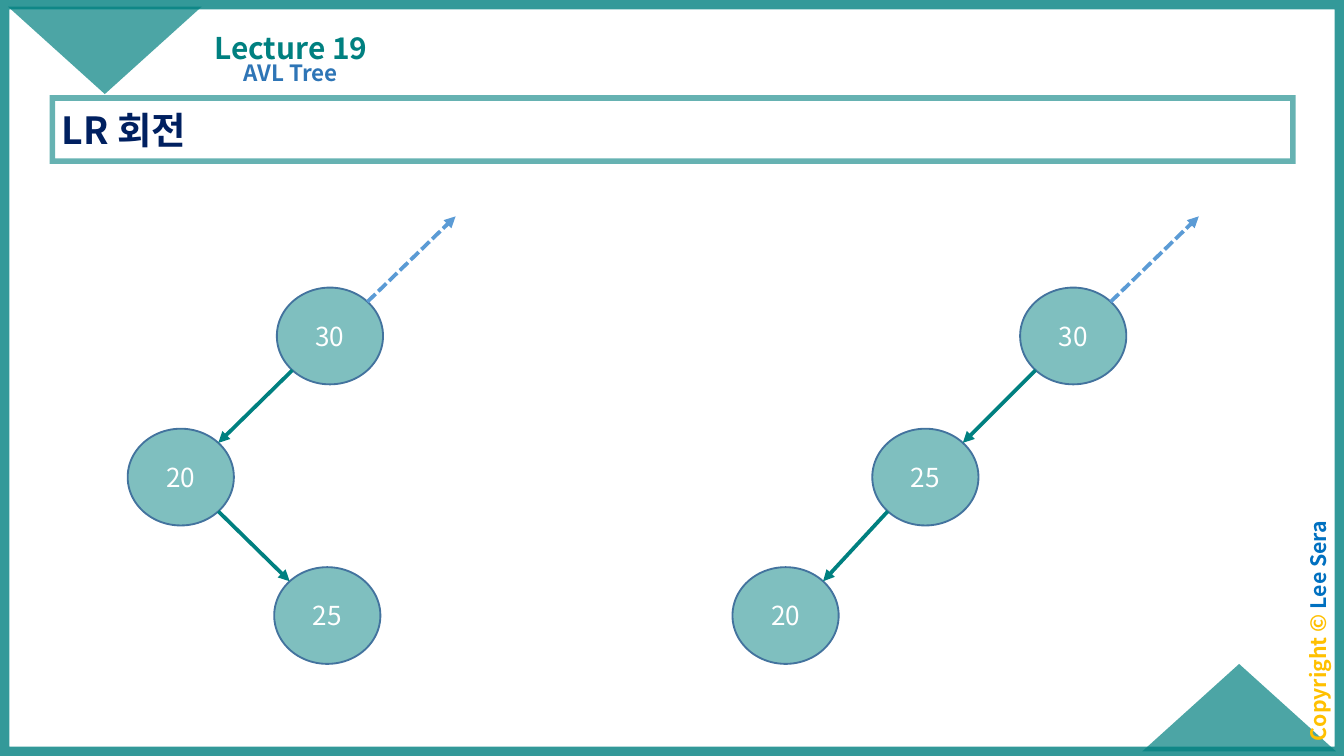
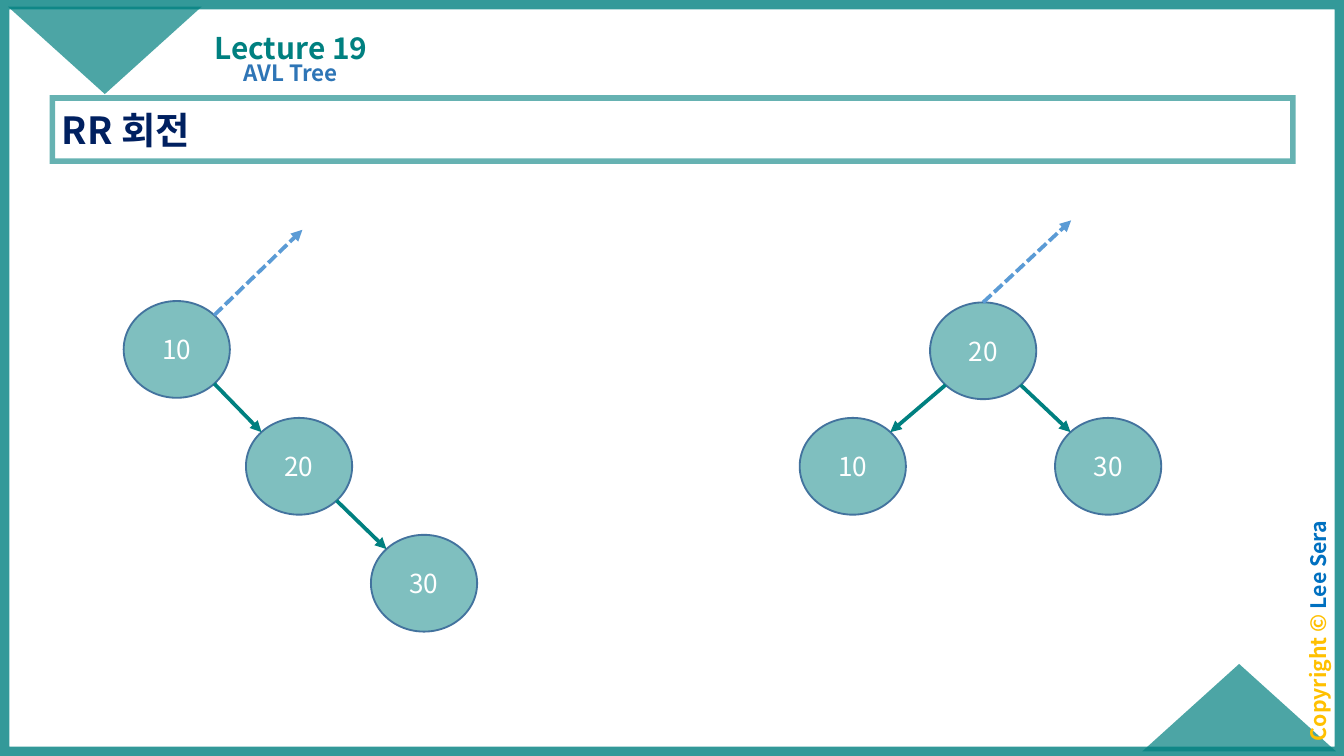
from math import sqrt
from lxml.etree import SubElement
from pptx import Presentation
from pptx.dml.color import RGBColor
from pptx.enum.dml import MSO_LINE
from pptx.enum.shapes import MSO_CONNECTOR, MSO_SHAPE
from pptx.enum.text import MSO_ANCHOR, MSO_AUTO_SIZE, PP_ALIGN
from pptx.oxml.ns import qn
from pptx.util import Inches, Pt

FONT = "Noto Sans CJK KR"
TEAL = RGBColor(0x00, 0x80, 0x80)
NAVY = RGBColor(0x00, 0x20, 0x60)
BLUE = RGBColor(0x2E, 0x75, 0xB6)
SKY = RGBColor(0x5B, 0x9B, 0xD5)
EDGE = RGBColor(0x43, 0x73, 0x9E)
GOLD = RGBColor(0xFF, 0xC0, 0x00)
AZURE = RGBColor(0x00, 0x70, 0xC0)
WHITE = RGBColor(0xFF, 0xFF, 0xFF)

WIDE = 10
HIGH = WIDE * 9 / 16
NODE_W, NODE_H = 0.79, 0.72
DIAG = sqrt(0.5)
# Points on a node's rim, as shares of its half width and half height
RIM = {"T": (0, -1), "TR": (DIAG, -DIAG), "TL": (-DIAG, -DIAG),
       "BL": (-DIAG, DIAG), "BR": (DIAG, DIAG)}

LECTURE, TOPIC = "Lecture 19", "AVL Tree"
CREDIT = [("Copyright © ", GOLD), ("Lee Sera", AZURE)]

# nodes: key -> left, top; links: parent, child;
# up: node, rim point and tip of the dashed arrow
PAGES = [
    ("LR 회전", [
        {"nodes": {"30": (7.59, 2.14), "25": (6.49, 3.19), "20": (5.45, 4.22)},
         "links": [("25", "20"), ("30", "25")],
         "up": ("30", "TR", (8.92, 1.61))},
        {"nodes": {"30": (2.06, 2.14), "20": (0.95, 3.19), "25": (2.04, 4.22)},
         "links": [("20", "25"), ("30", "20")],
         "up": ("30", "TR", (3.39, 1.61))},
    ]),
    ("RR 회전", [
        {"nodes": {"10": (0.92, 2.24), "20": (1.83, 3.11), "30": (2.76, 3.98)},
         "links": [("20", "30"), ("10", "20")],
         "up": ("10", "TR", (2.25, 1.71))},
        {"nodes": {"10": (5.95, 3.11), "20": (6.92, 2.25), "30": (7.85, 3.11)},
         "links": [("20", "30"), ("20", "10")],
         "up": ("20", "T", (7.97, 1.64))},
    ]),
]


def style(run, size, color, bold=True):
    """Set a run's font, for Latin and Korean letters alike."""
    run.font.name, run.font.size, run.font.bold = FONT, Pt(size), bold
    run.font.color.rgb = color
    SubElement(run.font._element, qn("a:ea")).set("typeface", FONT)


def fade(shape, part, share):
    """Make the fill or the line of a shape partly clear."""
    tone = shape._element.spPr.find(part + qn("a:solidFill") + "/" + qn("a:srgbClr"))
    SubElement(tone, qn("a:alpha")).set("val", str(share * 1000))


def draw(shapes, kind, box, fill=None, line=None, width=1):
    """Add a flat preset shape; fill and line are (colour, percent)."""
    shape = shapes.add_shape(kind, *map(Inches, box))
    shape.shadow.inherit = False
    if fill:
        shape.fill.solid()
        shape.fill.fore_color.rgb = fill[0]
        fade(shape, "", fill[1])
    else:
        shape.fill.background()
    if line:
        shape.line.color.rgb = line[0]
        shape.line.width = Pt(width)
        edge = shape._element.spPr.find(qn("a:ln"))
        SubElement(edge, qn("a:miter")).set("lim", "800000")
        if line[1] < 100:
            fade(shape, qn("a:ln") + "/", line[1])
    else:
        shape.line.fill.background()
    return shape


def setup(frame, anchor=MSO_ANCHOR.TOP):
    """Give a text frame the narrow margins and wrapping of the deck."""
    frame.word_wrap = True
    frame.auto_size = MSO_AUTO_SIZE.NONE
    frame.vertical_anchor = anchor
    frame.margin_left = frame.margin_right = Inches(0.07)
    frame.margin_top = frame.margin_bottom = Inches(0.04)
    return frame


def head(holder, box, text, size, color, anchor, before):
    """Place and format a title or subtitle placeholder."""
    holder.left, holder.top, holder.width, holder.height = map(Inches, box)
    frame = setup(holder.text_frame, anchor)
    frame.text = text
    para = frame.paragraphs[0]
    para.alignment, para.line_spacing = PP_ALIGN.CENTER, 0.9
    para.space_before = Pt(before)
    style(para.runs[0], size, color)


def base(slide, title):
    """Draw the border, corners, credit, headings and title bar."""
    shapes = slide.shapes
    draw(shapes, MSO_SHAPE.RECTANGLE, (0, 0, WIDE, HIGH), line=(TEAL, 80), width=10)
    for left, top, turn in ((8.5, 4.94, 0), (0.06, 0.05, 180)):
        draw(shapes, MSO_SHAPE.ISOSCELES_TRIANGLE, (left, top, 1.44, 0.65),
             fill=(TEAL, 70)).rotation = turn

    note = shapes.add_textbox(*map(Inches, (8.92, 4.57, 1.86, 0.25)))
    note.rotation = 270
    para = setup(note.text_frame).paragraphs[0]
    para.alignment, para.line_spacing = PP_ALIGN.CENTER, 0.7
    para.space_before = Pt(10)
    for text, color in CREDIT:
        run = para.add_run()
        run.text = text
        style(run, 11.4, color)

    bar = draw(shapes, MSO_SHAPE.RECTANGLE, (0.39, 0.73, 9.23, 0.47),
               line=(TEAL, 60), width=3)
    frame = setup(bar.text_frame, MSO_ANCHOR.MIDDLE)
    frame.text = title
    frame.paragraphs[0].alignment = PP_ALIGN.LEFT
    style(frame.paragraphs[0].runs[0], 20, NAVY)

    head(shapes.title, (1.4, 0.06, 1.53, 0.47), LECTURE, 16, TEAL,
         MSO_ANCHOR.BOTTOM, 0)
    head(slide.placeholders[1], (1.1, 0.42, 2.13, 0.34), TOPIC, 12, BLUE,
         MSO_ANCHOR.TOP, 7.5)


def rim(spot, side):
    """Return a point on the rim of the node at spot."""
    dx, dy = RIM[side]
    return (spot[0] + NODE_W / 2 * (1 + dx), spot[1] + NODE_H / 2 * (1 + dy))


def arrow(shapes, start, end, color, dash=None):
    """Add a straight arrow between two points."""
    line = shapes.add_connector(MSO_CONNECTOR.STRAIGHT,
                                *map(Inches, (*start, *end)))
    line.line.color.rgb = color
    line.line.width = Pt(2)
    if dash:
        line.line.dash_style = dash
    props = line._element.spPr
    SubElement(props.find(qn("a:ln")), qn("a:tailEnd")).set("type", "triangle")
    SubElement(props, qn("a:effectLst"))


def tree(slide, nodes, links, up):
    """Draw one tree as a group of nodes and arrows."""
    shapes = slide.shapes.add_group_shape().shapes
    for key, spot in nodes.items():
        node = draw(shapes, MSO_SHAPE.OVAL, (*spot, NODE_W, NODE_H),
                    fill=(TEAL, 50), line=(EDGE, 100))
        frame = node.text_frame
        frame.text = key
        frame.vertical_anchor = MSO_ANCHOR.MIDDLE
        frame.paragraphs[0].alignment = PP_ALIGN.CENTER
        style(frame.paragraphs[0].runs[0], 14, WHITE, False)
    for top, low in links:
        left = nodes[low][0] < nodes[top][0]
        out, into = ("BL", "TR") if left else ("BR", "TL")
        arrow(shapes, rim(nodes[top], out), rim(nodes[low], into), TEAL)
    key, side, tip = up
    arrow(shapes, rim(nodes[key], side), tip, SKY, MSO_LINE.SQUARE_DOT)


deck = Presentation()
deck.slide_width, deck.slide_height = Inches(WIDE), Inches(HIGH)
for title, trees in PAGES:
    slide = deck.slides.add_slide(deck.slide_layouts[0])
    base(slide, title)
    for item in trees:
        tree(slide, **item)
deck.save("out.pptx")
